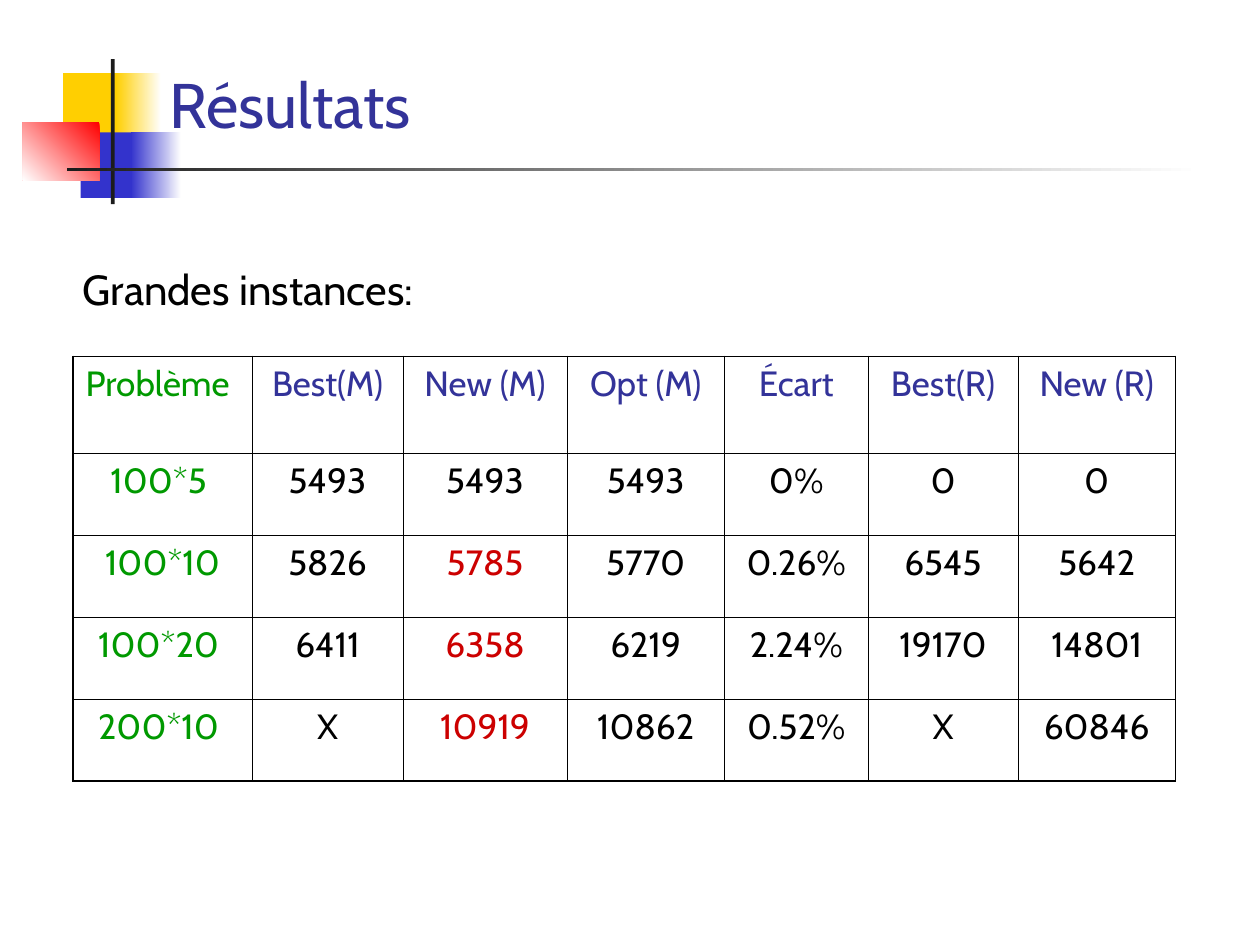
from lxml.etree import SubElement
from pptx import Presentation
from pptx.dml.color import RGBColor
from pptx.enum.shapes import MSO_SHAPE
from pptx.enum.text import MSO_ANCHOR, PP_ALIGN
from pptx.oxml.ns import qn
from pptx.util import Inches, Pt

FONT = "Cabin"
WHITE = RGBColor(0xFF, 0xFF, 0xFF)
BLACK = RGBColor(0x00, 0x00, 0x00)
CHARCOAL = RGBColor(0x1C, 0x1C, 0x1C)
YELLOW = RGBColor(0xFF, 0xCF, 0x01)
BLUE = RGBColor(0x33, 0x33, 0xCC)
RED = RGBColor(0xFF, 0x00, 0x00)
NAVY = RGBColor(0x33, 0x33, 0x99)
GREEN = RGBColor(0x00, 0x99, 0x00)
IMPROVED = RGBColor(0xCC, 0x00, 0x00)

TITLE = "Résultats"
SUBTITLE = "Grandes instances:"

RESULTS = [
    ["Problème", "Best(M)", "New (M)", "Opt (M)", "Écart", "Best(R)", "New (R)"],
    ["100*5 ", "5493", "5493", "5493", "0%", "0", "0"],
    ["100*10", "5826", "5785", "5770", "0.26%", "6545", "5642"],
    ["100*20 ", "6411", "6358", "6219", "2.24%", "19170", "14801"],
    ["200*10 ", "X", "10919", "10862", "0.52%", "X", "60846"],
]
IMPROVED_VALUES = {"5785", "6358", "10919"}
COLUMN_WIDTHS = [1.42, 1.2, 1.3, 1.25, 1.14, 1.19, 1.25]
ROW_HEIGHTS = [0.77] + [0.65] * 4
OUTER_LINE, INNER_LINE = 1.08, 0.45

# Left, top, width, height, colours (two make a gradient), gradient angle
DECORATION = [
    (0.5, 0.58, 0.48, 0.52, [YELLOW], None),
    (0.92, 0.58, 0.36, 0.52, [WHITE, YELLOW], 180),
    (0.64, 1.05, 0.46, 0.52, [BLUE], None),
    (1.04, 1.05, 0.4, 0.52, [WHITE, BLUE], 180),
    (0.18, 0.97, 0.61, 0.46, [RED, WHITE], 225),
    (0.88, 0.47, 0.03, 1.15, [CHARCOAL], None),
    (0.53, 1.33, 9, 0.03, [WHITE, CHARCOAL], 180),
]


def style(paragraph, size, color):
    paragraph.font.name = FONT
    paragraph.font.size = Pt(size)
    paragraph.font.color.rgb = color


def add_block(slide, left, top, width, height, colors, angle):
    block = slide.shapes.add_shape(
        MSO_SHAPE.RECTANGLE, Inches(left), Inches(top), Inches(width), Inches(height))
    block.shadow.inherit = False
    block.line.fill.background()
    if angle is None:
        block.fill.solid()
        block.fill.fore_color.rgb = colors[0]
    else:
        block.fill.gradient()
        block.fill.gradient_angle = angle
        for stop, color in zip(block.fill.gradient_stops, colors):
            stop.color.rgb = color


def add_text(slide, text, left, top, width, height, size, color, anchor, wrap):
    frame = slide.shapes.add_textbox(
        Inches(left), Inches(top), Inches(width), Inches(height)).text_frame
    frame.word_wrap = wrap
    frame.vertical_anchor = anchor
    frame.text = text
    style(frame.paragraphs[0], size, color)


def set_borders(cell, outer_sides):
    properties = cell._tc.get_or_add_tcPr()
    for side in ("L", "R", "T", "B"):
        points = OUTER_LINE if side in outer_sides else INNER_LINE
        line = SubElement(properties, qn(f"a:ln{side}"), w=str(Pt(points)))
        fill = SubElement(line, qn("a:solidFill"))
        SubElement(fill, qn("a:srgbClr"), val=str(BLACK))


def text_color(row, column, text):
    if column == 0:
        return GREEN
    if row == 0:
        return NAVY
    return IMPROVED if text in IMPROVED_VALUES else BLACK


def add_results(slide, left, top):
    last_row, last_column = len(ROW_HEIGHTS) - 1, len(COLUMN_WIDTHS) - 1
    table = slide.shapes.add_table(
        len(ROW_HEIGHTS), len(COLUMN_WIDTHS), Inches(left), Inches(top),
        Inches(sum(COLUMN_WIDTHS)), Inches(sum(ROW_HEIGHTS))).table
    table.first_row = table.horz_banding = False
    for column, width in zip(table.columns, COLUMN_WIDTHS):
        column.width = Inches(width)
    for row, height in zip(table.rows, ROW_HEIGHTS):
        row.height = Inches(height)

    for r, values in enumerate(RESULTS):
        for c, text in enumerate(values):
            cell = table.cell(r, c)
            edges = {"L": c == 0, "R": c == last_column, "T": r == 0, "B": r == last_row}
            set_borders(cell, [side for side, is_outer in edges.items() if is_outer])
            cell.fill.background()
            cell.text = text
            paragraph = cell.text_frame.paragraphs[0]
            paragraph.alignment = PP_ALIGN.LEFT if r == c == 0 else PP_ALIGN.CENTER
            paragraph.space_before = Pt(5)
            style(paragraph, 20, text_color(r, c, text))


def main():
    presentation = Presentation()
    presentation.slide_width, presentation.slide_height = Inches(10), Inches(7.5)
    slide = presentation.slides.add_slide(presentation.slide_layouts[6])

    # Coloured corner blocks and crossing lines
    for block in DECORATION:
        add_block(slide, *block)

    # Headings
    add_text(slide, TITLE, 1.25, 0.25, 8.5, 0.92, 36, NAVY, MSO_ANCHOR.BOTTOM, True)
    add_text(slide, SUBTITLE, 0.56, 2.04, 3.17, 0.5, 24, BLACK, MSO_ANCHOR.TOP, False)

    # Results table
    add_results(slide, 0.58, 2.83)
    presentation.save("out.pptx")


if __name__ == "__main__":
    main()
